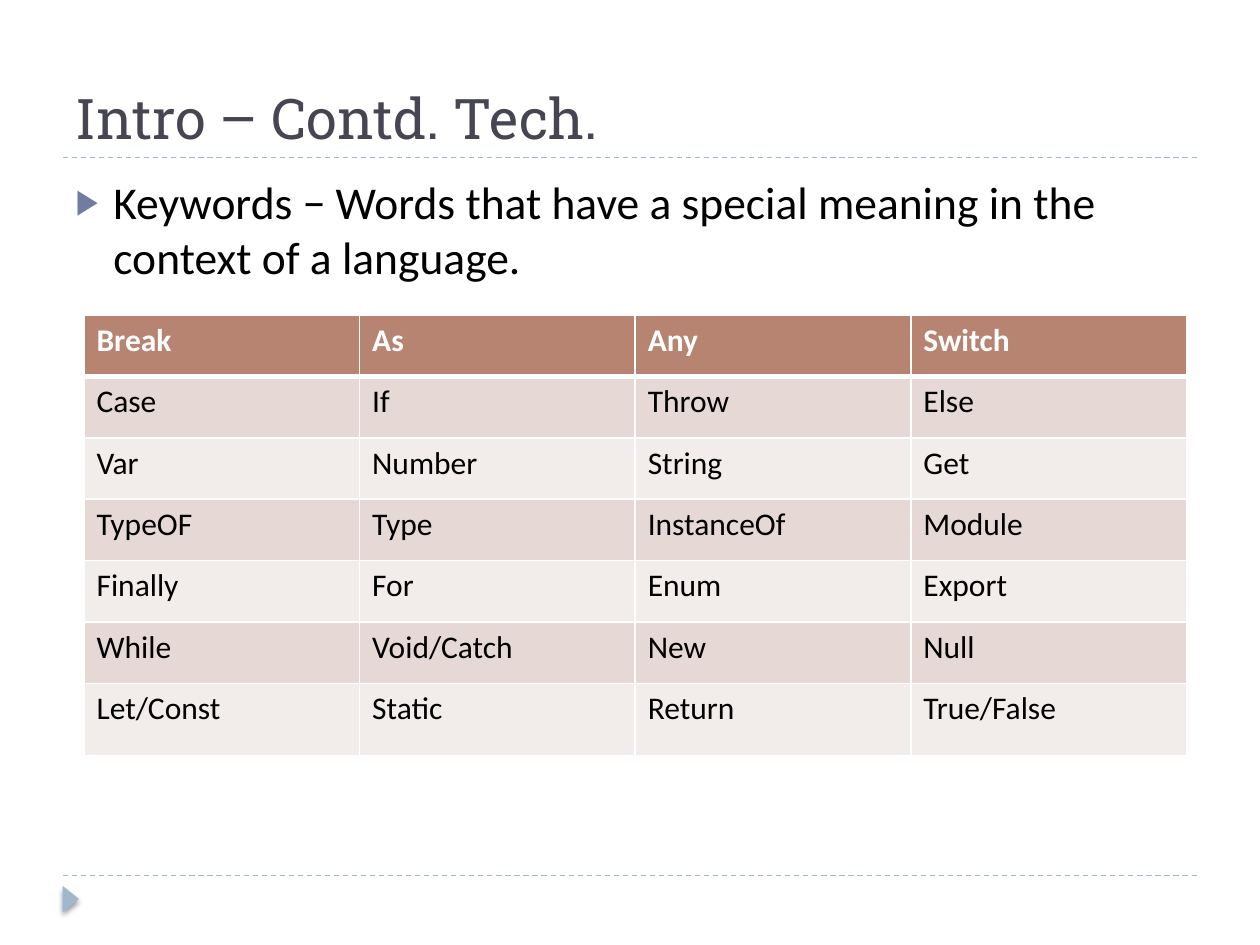
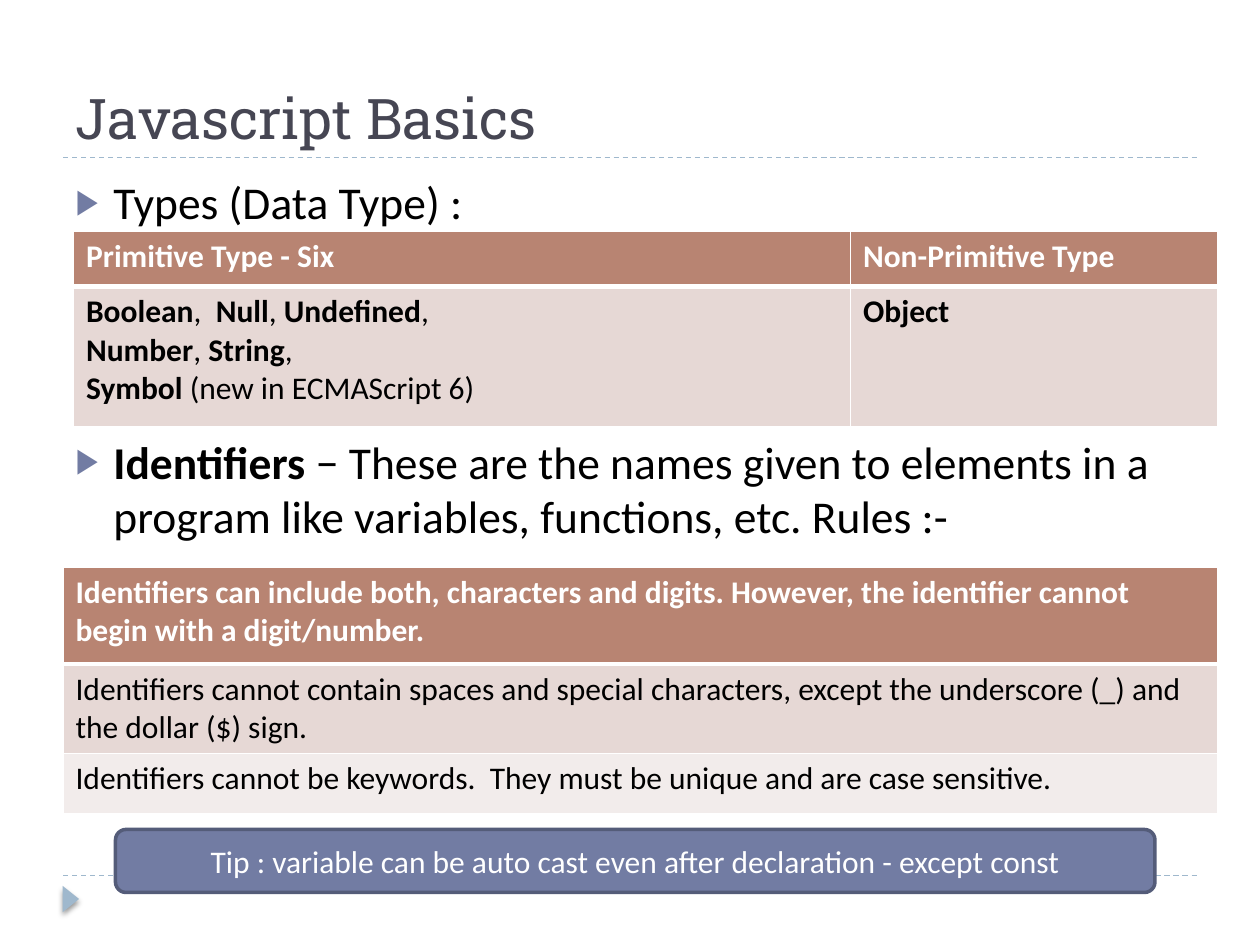
from lxml.etree import SubElement
from pptx import Presentation
from pptx.dml.color import RGBColor
from pptx.enum.dml import MSO_LINE
from pptx.enum.shapes import MSO_CONNECTOR, MSO_SHAPE
from pptx.enum.text import MSO_ANCHOR, MSO_AUTO_SIZE, PP_ALIGN
from pptx.oxml.ns import qn
from pptx.util import Inches, Pt

COLORS = {
    "title": "464653",
    "text": "000000",
    "white": "FFFFFF",
    "rule": "9FB8CD",
    "accent": "727CA3",
    "accent_edge": "545C79",
    "header": "B88472",
    "band_dark": "E6D8D5",
    "band_light": "F2ECEB",
}
COLUMNS, ROWS = 120, 90
WIDTH, HEIGHT = Inches(10), Inches(7.5)
TITLE_FONT, TEXT_FONT = "Roboto Slab", "Calibri"


def col(count):
    return round(WIDTH * count / COLUMNS)


def row(count):
    return round(HEIGHT * count / ROWS)


def box(left, top, width, height):
    return col(left), row(top), col(width), row(height)


def color(name):
    return RGBColor.from_string(COLORS[name])


def xml_child(parent, tag, **attributes):
    return SubElement(parent, qn(tag), attributes)


class Deck:
    def __init__(self):
        self.presentation = Presentation()
        self.presentation.slide_width = WIDTH
        self.presentation.slide_height = HEIGHT
        self.slide = None

    def start_slide(self, heading, points):
        layout = self.presentation.slide_layouts[1]
        self.slide = self.presentation.slides.add_slide(layout)
        self.rule(83.4)
        self.rule(15)
        self.corner_mark()
        self.title(heading)
        self.bullets(points)

    def set_words(self, paragraph, text, size, ink, font=TEXT_FONT, bold=False):
        pieces = [(piece, bold or index % 2 == 1)
                  for index, piece in enumerate(text.split("**")) if piece]
        paragraph.text = pieces[0][0]
        for piece, _ in pieces[1:]:
            paragraph.add_run().text = piece
        for run, (_, strong) in zip(paragraph.runs, pieces):
            run.font.name = font
            run.font.size = Pt(size)
            run.font.bold = strong
            run.font.color.rgb = color(ink)

    def place(self, holder, bounds, anchor):
        holder.left, holder.top, holder.width, holder.height = bounds
        frame = holder.text_frame
        frame.auto_size = MSO_AUTO_SIZE.NONE
        frame.word_wrap = True
        frame.vertical_anchor = anchor
        return frame

    def title(self, heading):
        frame = self.place(self.slide.shapes.title, box(6, 2, 108, 13),
                           MSO_ANCHOR.BOTTOM)
        paragraph = frame.paragraphs[0]
        self.set_words(paragraph, heading, 32, "title", TITLE_FONT)
        paragraph.alignment = PP_ALIGN.LEFT

    def bullets(self, points):
        frame = self.place(self.slide.placeholders[1], box(6, 16, 108, 64.8),
                           MSO_ANCHOR.TOP)
        frame.text = "\n".join(text for text, _ in points)
        for paragraph, (text, gap) in zip(frame.paragraphs, points):
            self.set_words(paragraph, text, 26, "text")
            paragraph.space_before = Pt(gap)
            properties = paragraph._p.get_or_add_pPr()
            properties.set("marL", str(Inches(0.3)))
            properties.set("indent", str(-Inches(0.3)))
            tint = xml_child(properties, "a:buClr")
            xml_child(tint, "a:srgbClr", val=COLORS["accent"])
            xml_child(properties, "a:buSzPct", val="76000")
            xml_child(properties, "a:buChar", char="▶")

    def rule(self, top):
        line = self.slide.shapes.add_connector(
            MSO_CONNECTOR.STRAIGHT, col(6), row(top), col(114), row(top))
        line.line.color.rgb = color("rule")
        line.line.width = Pt(0.75)
        line.line.dash_style = MSO_LINE.DASH
        xml_child(line._element.spPr, "a:effectLst")

    def shape(self, kind, bounds, fill):
        figure = self.slide.shapes.add_shape(kind, *bounds)
        figure.shadow.inherit = False
        figure.fill.solid()
        figure.fill.fore_color.rgb = color(fill)
        return figure

    def corner_mark(self):
        mark = self.shape(MSO_SHAPE.ISOSCELES_TRIANGLE,
                          box(5.5, 84.84, 2.5, 1.56), "rule")
        mark.rotation = 90
        mark.line.fill.background()
        effects = mark._element.spPr.find(qn("a:effectLst"))
        shadow = xml_child(effects, "a:outerShdw", blurRad=str(Pt(3)),
                           dist=str(Pt(2)), dir="5400000", rotWithShape="0")
        shade = xml_child(shadow, "a:srgbClr", val=COLORS["text"])
        xml_child(shade, "a:alpha", val="40000")

    def tip(self, text, bounds):
        banner = self.shape(MSO_SHAPE.ROUNDED_RECTANGLE, bounds, "accent")
        banner.line.color.rgb = color("accent_edge")
        banner.line.width = Pt(2)
        frame = banner.text_frame
        frame.word_wrap = True
        frame.vertical_anchor = MSO_ANCHOR.MIDDLE
        self.set_words(frame.paragraphs[0], text, 18, "white")
        frame.paragraphs[0].alignment = PP_ALIGN.CENTER

    def borders(self, cell, level):
        widths = {"L": 0.96, "R": 0.96,
                  "T": 3 if level == 1 else 0.96,
                  "B": 3 if level == 0 else 0.96}
        properties = cell._tc.get_or_add_tcPr()
        for side, width in widths.items():
            edge = xml_child(properties, f"a:ln{side}", w=str(Pt(width)))
            paint = xml_child(edge, "a:solidFill")
            xml_child(paint, "a:srgbClr", val=COLORS["white"])

    def table(self, left, top, widths, heights, content):
        bounds = box(left, top, sum(widths), sum(heights))
        grid = self.slide.shapes.add_table(len(heights), len(widths), *bounds).table
        for column, width in zip(grid.columns, widths):
            column.width = col(width)
        for level, (line, height) in enumerate(zip(grid.rows, heights)):
            line.height = row(height)
            head = level == 0
            fill = "header" if head else ("band_light", "band_dark")[level % 2]
            for cell, text in zip(line.cells, content[level]):
                self.borders(cell, level)
                cell.fill.solid()
                cell.fill.fore_color.rgb = color(fill)
                cell.text_frame.text = text
                for paragraph, words in zip(cell.text_frame.paragraphs,
                                            text.split("\n")):
                    self.set_words(paragraph, words, 18,
                                   "white" if head else "text", bold=head)


def main():
    deck = Deck()

    deck.start_slide("Intro – Contd. Tech.", [
        ("Keywords − Words that have a special meaning in the context of a language.", 6),
    ])
    deck.table(8, 30, [26.25] * 4, [5.85] * 6 + [6.9], [
        ["Break", "As", "Any", "Switch"],
        ["Case", "If", "Throw", "Else"],
        ["Var", "Number", "String", "Get"],
        ["TypeOF", "Type", "InstanceOf", "Module"],
        ["Finally", "For", "Enum", "Export"],
        ["While", "Void/Catch", "New", "Null"],
        ["Let/Const", "Static", "Return", "True/False"],
    ])

    deck.start_slide("Javascript Basics", [
        ("Types (Data Type) :", 6),
        ("**Identifiers** − These are the names given to elements in a program "
         "like variables, functions, etc. Rules :-", 117),
    ])
    deck.table(7, 22, [74, 35], [5.28, 13.32], [
        ["Primitive Type - Six", "Non-Primitive Type"],
        ["**Boolean**,  **Null**, **Undefined**,\n**Number**, **String**,\n"
         "**Symbol** (new in ECMAScript 6)", "**Object**"],
    ])
    deck.table(6, 54, [110], [9.24, 7.92, 5.76], [
        ["Identifiers can include both, characters and digits. However, "
         "the identifier cannot begin with a digit/number."],
        ["Identifiers cannot contain spaces and special characters, "
         "except the underscore (_) and the dollar ($) sign."],
        ["Identifiers cannot be keywords.  They must be unique and are case sensitive."],
    ])
    deck.tip("Tip : variable can be auto cast even after declaration - except const",
             box(11, 79, 99, 6))

    deck.presentation.save("out.pptx")


if __name__ == "__main__":
    main()
